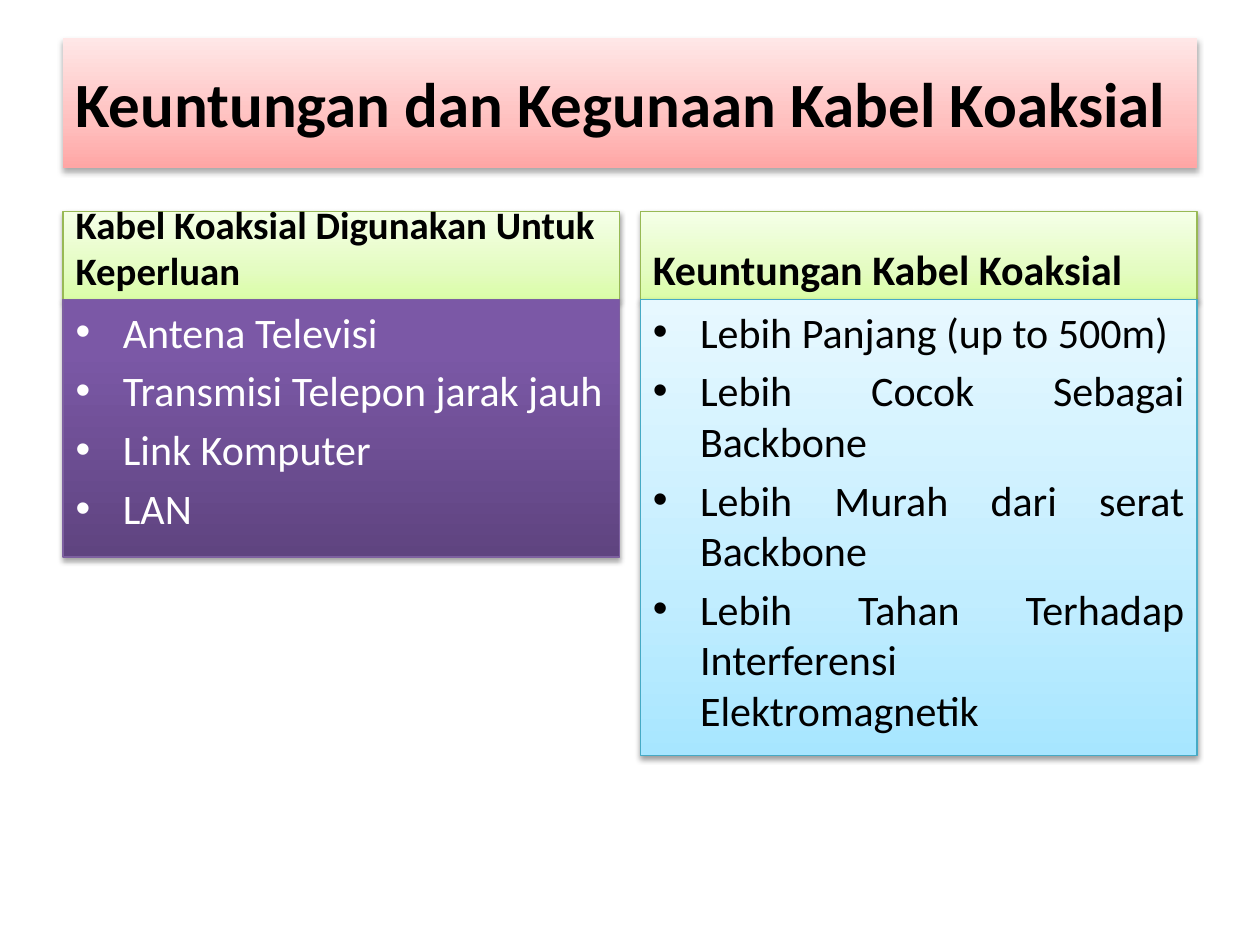
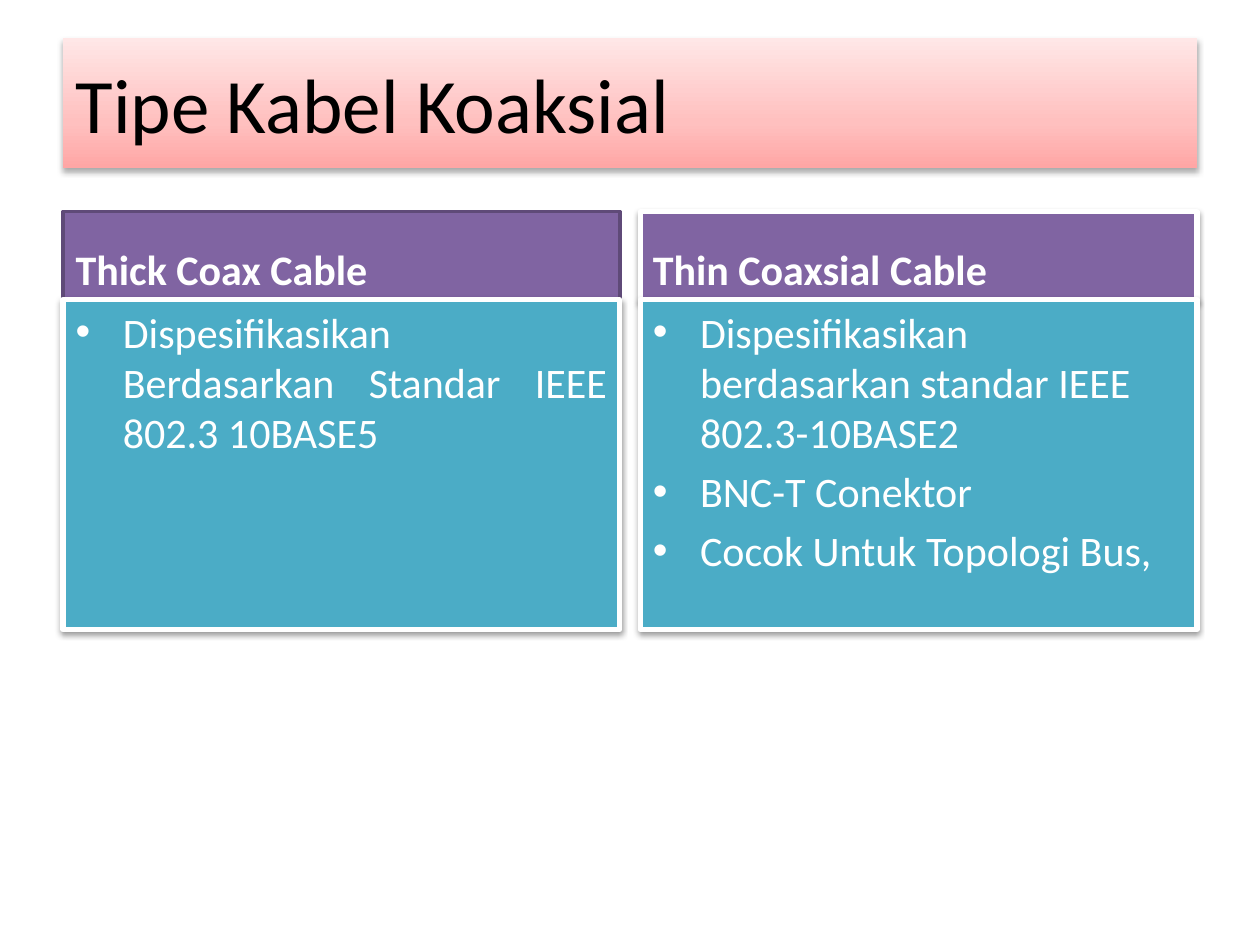
"""Builds two comparison slides on coaxial cable."""
from copy import deepcopy

from pptx import Presentation
from pptx.dml.color import RGBColor
from pptx.enum.text import MSO_ANCHOR, MSO_AUTO_SIZE, PP_ALIGN
from pptx.oxml import parse_xml
from pptx.oxml.ns import nsdecls, qn
from pptx.util import Pt

LEFT, JUST = PP_ALIGN.LEFT, PP_ALIGN.JUSTIFY
TOP, MID, LOW = MSO_ANCHOR.TOP, MSO_ANCHOR.MIDDLE, MSO_ANCHOR.BOTTOM
FIXED = MSO_AUTO_SIZE.NONE

FONT = "Calibri"
BLACK = RGBColor(0x00, 0x00, 0x00)
WHITE = RGBColor(0xFF, 0xFF, 0xFF)
PLUM = RGBColor(0x80, 0x64, 0xA2)
PLUM_EDGE = RGBColor(0x5F, 0x4A, 0x78)
TEAL = RGBColor(0x4B, 0xAC, 0xC6)
TEAL_EDGE = RGBColor(0x46, 0xAA, 0xC5)
LIME_EDGE = RGBColor(0x98, 0xB9, 0x55)
GRAPE_EDGE = RGBColor(0x7D, 0x60, 0xA0)
ROSE = [(0, RGBColor(0xFF, 0xA6, 0xA5)), (0.35, RGBColor(0xFF, 0xC0, 0xBF)),
        (1, RGBColor(0xFF, 0xE7, 0xE7))]
LIME = [(0, RGBColor(0xDA, 0xFD, 0xA7)), (0.35, RGBColor(0xE4, 0xFC, 0xC2)),
        (1, RGBColor(0xF5, 0xFF, 0xE7))]
GRAPE = [(0, RGBColor(0x5F, 0x44, 0x80)), (0.8, RGBColor(0x7B, 0x58, 0xA6)),
         (1, RGBColor(0x7C, 0x57, 0xA8))]
SKY = [(0, RGBColor(0xA7, 0xE6, 0xFF)), (0.35, RGBColor(0xC1, 0xED, 0xFF)),
       (1, RGBColor(0xE7, 0xF8, 0xFF))]

DEEP, DARK, SOFT = (32, 3.5, 2.2), (35, 3.1, 1.8), (38, 3.1, 1.6)

STYLES = {
    "title": dict(fill=ROSE, ink=BLACK, edge=None, shade=DEEP),
    "lime": dict(fill=LIME, ink=BLACK, edge=(LIME_EDGE, 0.75), shade=SOFT),
    "grape": dict(fill=GRAPE, ink=WHITE, edge=(GRAPE_EDGE, 0.75), shade=DARK),
    "sky": dict(fill=SKY, ink=BLACK, edge=(TEAL_EDGE, 0.75), shade=SOFT),
    "plum": dict(fill=PLUM, ink=WHITE, edge=(PLUM_EDGE, 2), shade=None),
    "framed": dict(fill=PLUM, ink=WHITE, edge=(WHITE, 3), shade=SOFT),
    "teal": dict(fill=TEAL, ink=WHITE, edge=(WHITE, 3), shade=SOFT),
}

SLIDES = [
    dict(title="Keuntungan dan Kegunaan Kabel Koaksial", size=36, bold=True,
         panels=[
             dict(head="Kabel Koaksial Digunakan Untuk Keperluan", size=22.2,
                  looks=("lime", "grape"), tall=147, align=LEFT,
                  items=["Antena Televisi", "Transmisi Telepon jarak jauh",
                         "Link Komputer", "LAN"]),
             dict(head="Keuntungan Kabel Koaksial", size=24,
                  looks=("lime", "sky"), tall=260.5, align=JUST,
                  items=["Lebih Panjang (up to 500m)",
                         "Lebih Cocok Sebagai Backbone",
                         "Lebih Murah dari serat Backbone",
                         "Lebih Tahan Terhadap Interferensi Elektromagnetik"]),
         ]),
    dict(title="Tipe Kabel Koaksial", size=44, bold=False,
         panels=[
             dict(head="Thick Coax Cable", size=24,
                  looks=("plum", "teal"), tall=188.5, align=JUST,
                  items=["Dispesifikasikan Berdasarkan Standar IEEE 802.3 10BASE5"]),
             dict(head="Thin Coaxsial Cable", size=24,
                  looks=("framed", "teal"), tall=188.5, align=LEFT,
                  items=["Dispesifikasikan berdasarkan standar IEEE 802.3-10BASE2",
                         "BNC-T Conektor", "Cocok Untuk Topologi Bus,"]),
         ]),
]

EDGE, WIDE = 36, 648
TITLE_TOP, TITLE_TALL = 21.6, 74.2
HEAD_TOP, HEAD_TALL = 120.9, 50.4
COL_WIDE = 318.2
STEP = WIDE - COL_WIDE


def paint(shape, fill, edge, shade):
    if isinstance(fill, list):
        shape.fill.gradient()
        shape.fill.gradient_angle = 90
        stops = shape.element.spPr.find(".//" + qn("a:gsLst"))
        stops.append(deepcopy(stops[0]))
        for stop, (pos, tint) in zip(shape.fill.gradient_stops, fill):
            stop.position = pos
            stop.color.rgb = tint
    else:
        shape.fill.solid()
        shape.fill.fore_color.rgb = fill
    if edge:
        shape.line.color.rgb, shape.line.width = edge[0], Pt(edge[1])
    else:
        shape.line.fill.background()
    if shade:
        alpha, blur, dist = shade
        xml = (f'<a:effectLst {nsdecls("a")}><a:outerShdw blurRad="{Pt(blur)}" '
               f'dist="{Pt(dist)}" dir="5400000" rotWithShape="0">'
               f'<a:srgbClr val="000000"><a:alpha val="{alpha * 1000}"/>'
               '</a:srgbClr></a:outerShdw></a:effectLst>')
        shape.element.spPr.append(parse_xml(xml))


def place(shape, box, look, lines, size, bold, align, anchor):
    shape.left, shape.top, shape.width, shape.height = map(Pt, box)
    style = STYLES[look]
    paint(shape, style["fill"], style["edge"], style["shade"])
    frame = shape.text_frame
    frame.text = "\n".join(lines)
    frame.word_wrap = True
    frame.auto_size = FIXED
    frame.vertical_anchor = anchor
    for para in frame.paragraphs:
        para.alignment = align
        for run in para.runs:
            font = run.font
            font.name, font.size, font.bold = FONT, Pt(size), bold
            font.color.rgb = style["ink"]


def build(deck, data):
    slide = deck.slides.add_slide(deck.slide_layouts[4])
    title, *slots = slide.placeholders
    place(title, (EDGE, TITLE_TOP, WIDE, TITLE_TALL), "title",
          [data["title"]], data["size"], data["bold"], LEFT, MID)
    for col, panel in enumerate(data["panels"]):
        head, body = slots[2 * col:2 * col + 2]
        left = EDGE + col * STEP
        look, tone = panel["looks"]
        place(head, (left, HEAD_TOP, COL_WIDE, HEAD_TALL), look,
              [panel["head"]], panel["size"], True, LEFT, LOW)
        place(body, (left, HEAD_TOP + HEAD_TALL, COL_WIDE, panel["tall"]), tone,
              panel["items"], 24, False, panel["align"], TOP)


deck = Presentation()
deck.slide_width, deck.slide_height = Pt(720), Pt(540)
for data in SLIDES:
    build(deck, data)
deck.save("out.pptx")
